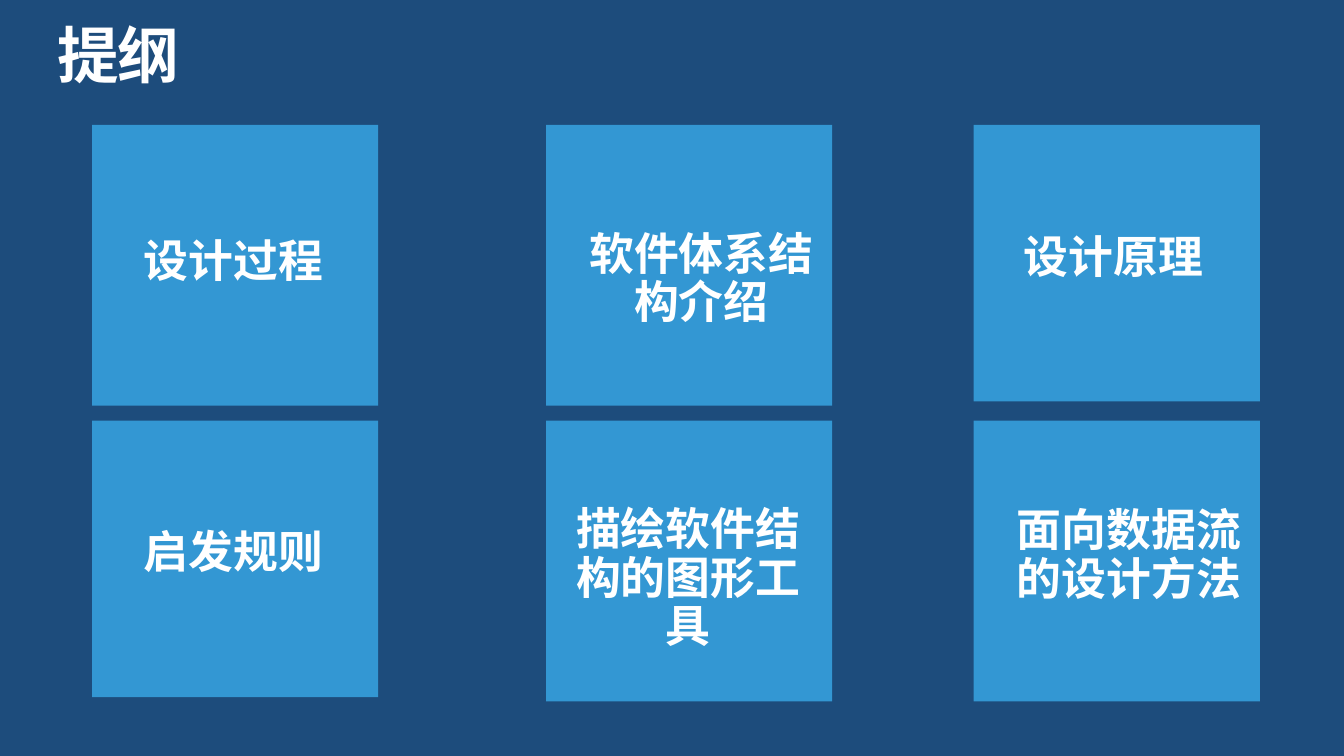
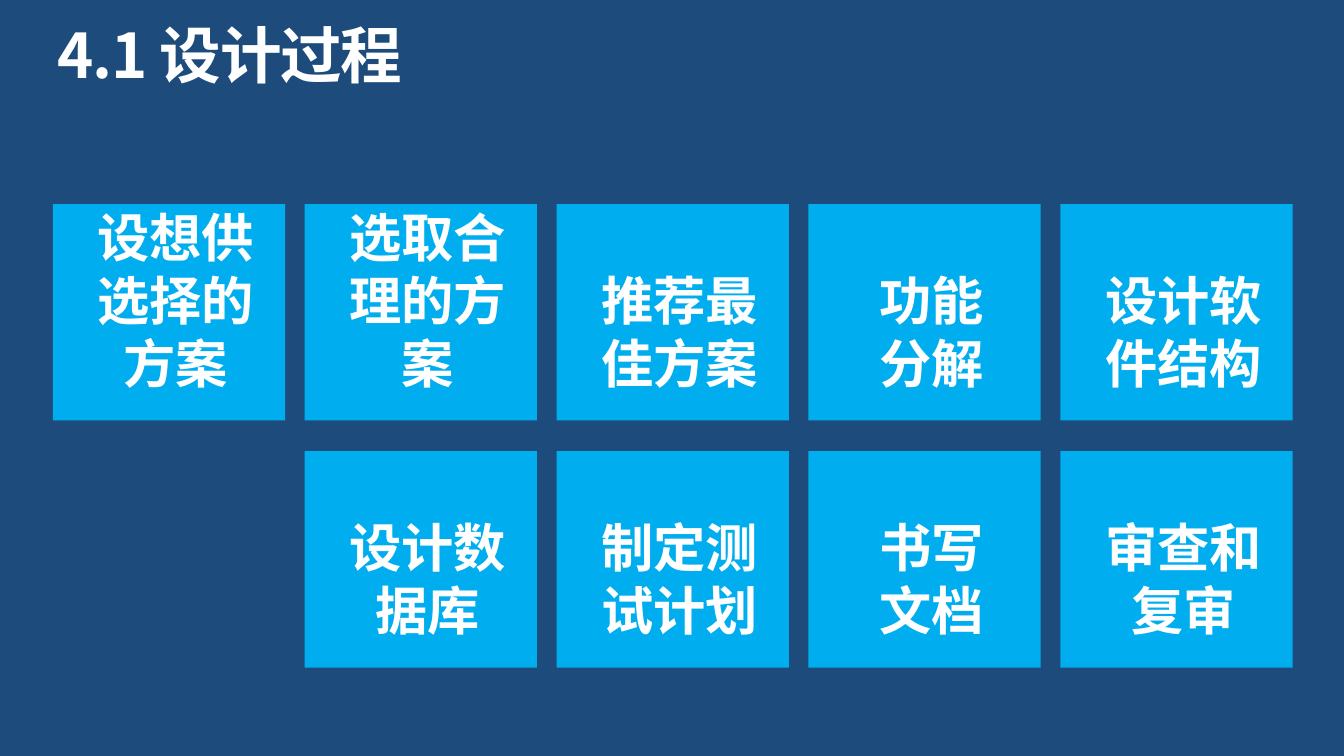
from pptx import Presentation
from pptx.dml.color import RGBColor
from pptx.enum.shapes import MSO_SHAPE
from pptx.enum.text import MSO_ANCHOR, MSO_AUTO_SIZE, PP_ALIGN
from pptx.oxml.ns import qn
from pptx.util import Cm, Pt
from lxml.etree import SubElement

FONT = "Noto Sans CJK SC"
NAVY = "1D4C7C"
BLUE = "3397D3"
CYAN = "00AEEF"
WHITE = "FFFFFF"

TOPIC_LEFTS = (1.74, 10.32, 18.4)
TOPIC_TOPS = (2.36, 7.95)
TOPIC_WIDTH = 5.41
LABEL_WIDTH = 4.55
LABEL_LINE = 0.92
# Each topic: text, lines, tile height, label offset from the left and top of its tile
TOPICS = (
    (("设计过程", 1, 5.31, 0.4, 2.16),
     ("软件体系结构介绍", 2, 5.31, 0.66, 2.01),
     ("设计原理", 1, 5.23, 0.37, 2.08)),
    (("启发规则", 1, 5.23, 0.4, 2.06),
     ("描绘软件结构的图形工具", 3, 5.31, 0.41, 1.63),
     ("面向数据流的设计方法", 2, 5.31, 0.66, 1.65)),
)

STEP_LEFT = 1.0
STEP_TOPS = (3.86, 8.53)
STEP_WIDTH, STEP_HEIGHT, STEP_GAP = 4.39, 4.09, 0.37
STEPS = (
    ("设想供选择的方案", "选取合理的方案", "推荐最佳方案", "功能\n分解", "设计软件结构"),
    (None, "设计数据库", "制定测试计划", "书写\n文档", "审查和复审"),
)


def color(hex_text):
    """Turn a hex string into a colour."""
    return RGBColor.from_string(hex_text)


def format_text(text_frame, size, alignment, line_spacing=1.0, tracking=None):
    """Give every run the shared bold white font."""
    for paragraph in text_frame.paragraphs:
        paragraph.alignment = alignment
        paragraph.line_spacing = line_spacing
        for run in paragraph.runs:
            run.font.name = FONT
            run.font.size = Pt(size)
            run.font.bold = True
            run.font.color.rgb = color(WHITE)
            properties = run.font._element
            SubElement(properties, qn("a:ea")).set("typeface", FONT)
            if tracking is not None:
                properties.set("spc", str(tracking))


def set_frame(text_frame, anchor, margins=(0, 0, 0, 0)):
    """Set wrapping, anchor and margins (left, top, right, bottom)."""
    text_frame.word_wrap = True
    text_frame.vertical_anchor = anchor
    (text_frame.margin_left, text_frame.margin_top,
     text_frame.margin_right, text_frame.margin_bottom) = map(Cm, margins)


def add_tile(shapes, left, top, width, height, fill):
    """Add a flat filled rectangle."""
    tile = shapes.add_shape(MSO_SHAPE.RECTANGLE, Cm(left), Cm(top), Cm(width), Cm(height))
    tile.shadow.inherit = False
    tile.fill.solid()
    tile.fill.fore_color.rgb = color(fill)
    tile.line.fill.background()
    return tile


def add_titled_slide(presentation, title):
    """Add a slide with the shared title style."""
    slide = presentation.slides.add_slide(presentation.slide_layouts[5])
    shape = slide.shapes.title
    shape.left, shape.top, shape.width, shape.height = Cm(1.09), Cm(0.48), Cm(23.24), Cm(1.27)
    text_frame = shape.text_frame
    text_frame.text = title
    set_frame(text_frame, MSO_ANCHOR.TOP)
    text_frame.auto_size = MSO_AUTO_SIZE.SHAPE_TO_FIT_TEXT
    format_text(text_frame, 33, PP_ALIGN.LEFT, 0.9, -80)
    return slide


def add_topic(slide, left, top, topic):
    """Group a topic tile with its label."""
    text, lines, height, label_left, label_top = topic
    group = slide.shapes.add_group_shape()
    add_tile(group.shapes, left, top, TOPIC_WIDTH, height, BLUE)
    label = group.shapes.add_textbox(Cm(left + label_left), Cm(top + label_top),
                                     Cm(LABEL_WIDTH), Cm(lines * LABEL_LINE))
    text_frame = label.text_frame
    text_frame.text = text
    set_frame(text_frame, MSO_ANCHOR.MIDDLE)
    text_frame.auto_size = MSO_AUTO_SIZE.SHAPE_TO_FIT_TEXT
    format_text(text_frame, 24, PP_ALIGN.CENTER, 0.9)


def add_step(slide, left, top, text):
    """Add a process step tile with its text at the bottom."""
    tile = add_tile(slide.shapes, left, top, STEP_WIDTH, STEP_HEIGHT, CYAN)
    tile.text_frame.text = text
    set_frame(tile.text_frame, MSO_ANCHOR.BOTTOM, (0.51, 0.25, 0.25, 0.51))
    format_text(tile.text_frame, 28, PP_ALIGN.CENTER)


def build_outline(presentation):
    """Build the outline slide."""
    slide = add_titled_slide(presentation, "提纲")
    for top, row in zip(TOPIC_TOPS, TOPICS):
        for left, topic in zip(TOPIC_LEFTS, row):
            add_topic(slide, left, top, topic)


def build_process(presentation):
    """Build the design process slide."""
    slide = add_titled_slide(presentation, "4.1 设计过程")
    for top, row in zip(STEP_TOPS, STEPS):
        for column, text in enumerate(row):
            if text:
                add_step(slide, STEP_LEFT + column * (STEP_WIDTH + STEP_GAP), top, text)


def main():
    """Build and save the presentation."""
    presentation = Presentation()
    presentation.slide_width, presentation.slide_height = Cm(25.4), Cm(14.29)
    background = presentation.slide_master.background.fill
    background.solid()
    background.fore_color.rgb = color(NAVY)
    build_outline(presentation)
    build_process(presentation)
    presentation.save("out.pptx")


if __name__ == "__main__":
    main()
